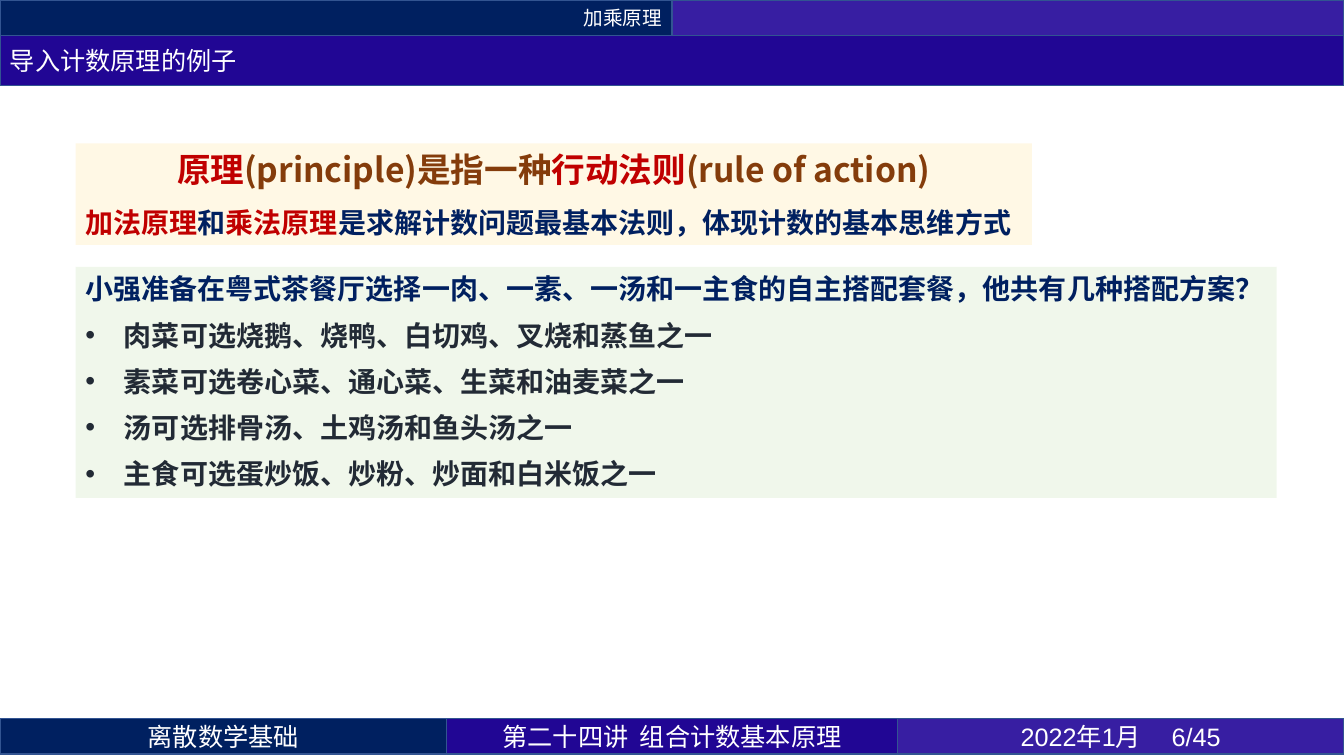
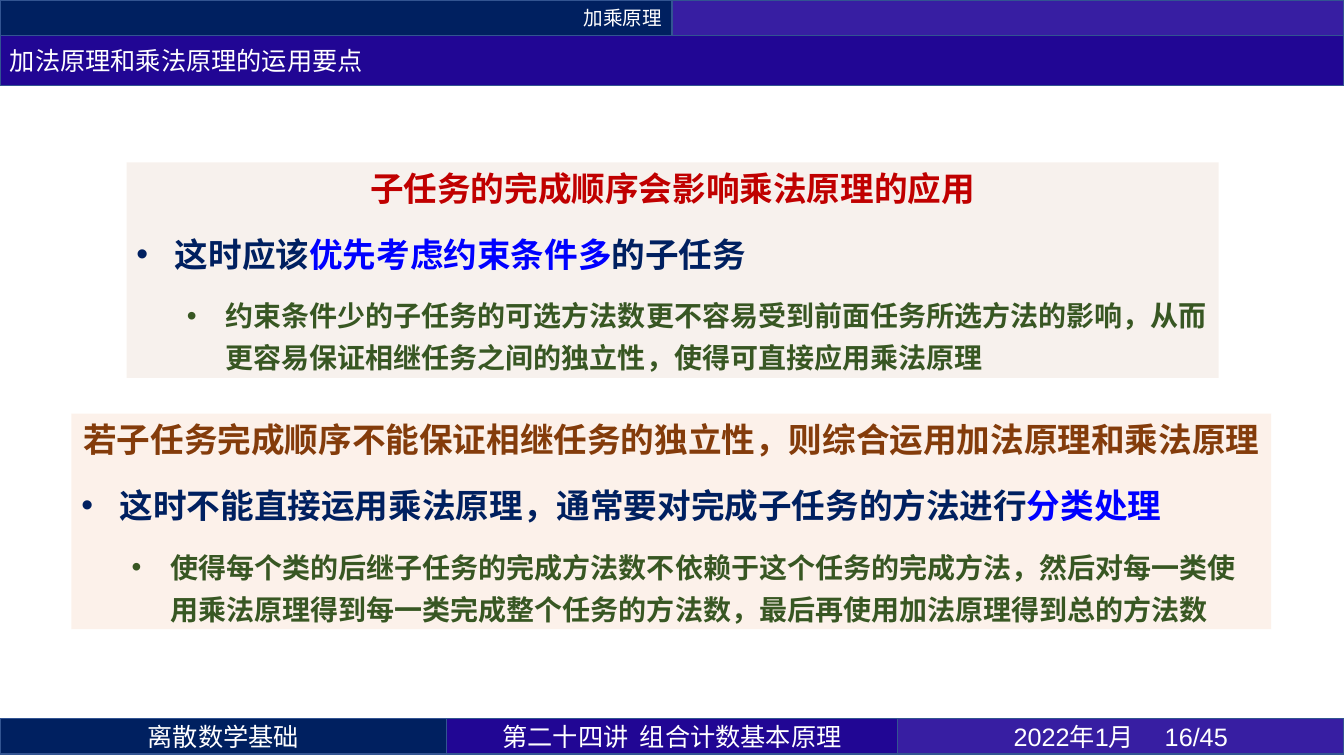
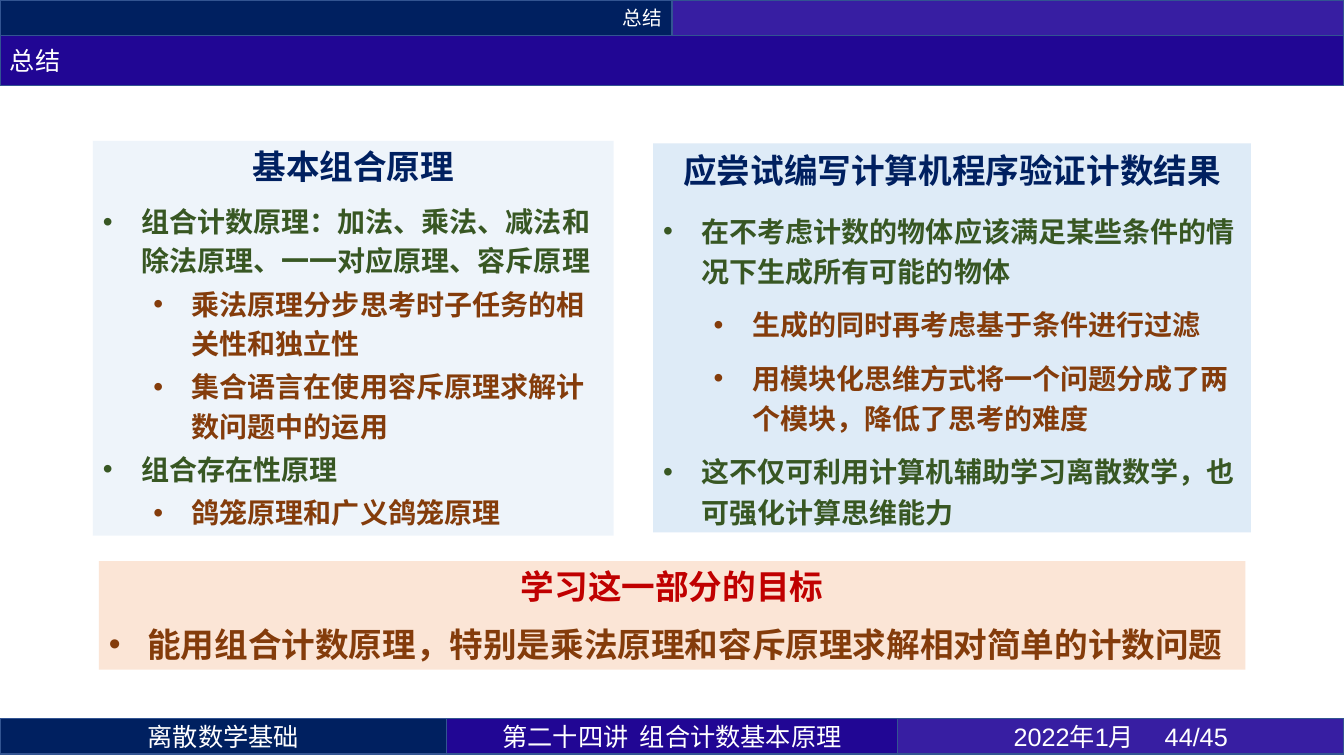
"""Build three lecture slides on basic counting principles."""
from dataclasses import dataclass

from lxml.etree import SubElement
from pptx import Presentation
from pptx.dml.color import RGBColor
from pptx.enum.shapes import MSO_SHAPE
from pptx.enum.text import MSO_ANCHOR, PP_ALIGN
from pptx.oxml.ns import qn
from pptx.util import Pt


@dataclass(frozen=True)
class Theme:
    font: str = "Noto Sans CJK SC"
    latin: str = "Arial"
    white: str = "FFFFFF"
    navy: str = "002060"
    indigo: str = "210694"
    violet: str = "371EA2"
    edge: str = "325491"
    red: str = "C00000"
    brown: str = "843C0B"
    blue: str = "0000FF"
    green: str = "385723"
    slate: str = "222A35"
    cream: str = "FFF2CC"
    mint: str = "E2F0D9"
    sand: str = "F0E5DC"
    peach: str = "FBE5D6"
    sky: str = "DEEBF7"
    small: int = 14
    band: int = 18
    body: int = 20
    head: int = 24


T = Theme()
WIDTH, HEIGHT = 960, 540
BAR = 25.2
TITLE_H = 36
FOOT_Y = 513.4
FOOT_X = (0, 319, 641, WIDTH)
HANG, STEP = 27.5, 36
LEADING = {T.head: 29, T.body: 24}


def para(*runs, size=T.body, bullet=None, center=False, before=0, after=0, leading=None):
    """Describe a paragraph; each run is (text, colour) or (text, colour, font)."""
    fmt = {
        "alignment": PP_ALIGN.CENTER if center else PP_ALIGN.LEFT,
        "level": bullet or 0,
        "line_spacing": Pt(leading or LEADING[size]),
        "space_before": Pt(before),
        "space_after": Pt(after),
    }
    return runs, size, bullet, fmt


class Deck:
    """Hold the presentation, its theme and the current slide."""

    def __init__(self, theme):
        self.t = theme
        self.prs = Presentation()
        self.prs.slide_width, self.prs.slide_height = Pt(WIDTH), Pt(HEIGHT)
        self.s = None

    def rect(self, x, y, w, h, fill, line=None, alpha=None):
        """Add a flat rectangle."""
        sp = self.s.shapes.add_shape(MSO_SHAPE.RECTANGLE, Pt(x), Pt(y), Pt(w), Pt(h))
        sp.shadow.inherit = False
        sp.fill.solid()
        sp.fill.fore_color.rgb = RGBColor.from_string(fill)
        if alpha:
            clr = sp.fill._xPr.find(qn("a:solidFill"))[0]
            SubElement(clr, qn("a:alpha"), val=str(alpha * 1000))
        if line:
            sp.line.color.rgb = RGBColor.from_string(line)
            sp.line.width = Pt(1)
        else:
            sp.line.fill.background()
        sp.text_frame.word_wrap = True
        return sp

    def run(self, p, text, color, size, font=None, bold=False):
        """Add a run with Latin and East Asian fonts."""
        r = p.add_run()
        r.text = text
        fmt = {"name": font or self.t.font, "size": Pt(size), "bold": bold}
        for key, value in fmt.items():
            setattr(r.font, key, value)
        r.font.color.rgb = RGBColor.from_string(color)
        SubElement(r._r.get_or_add_rPr(), qn("a:ea"), typeface=self.t.font)

    def band(self, x, y, w, h, fill, text="", align=PP_ALIGN.CENTER, size=T.band, font=None):
        """Add an outlined band with one line of white text."""
        sp = self.rect(x, y, w, h, fill, line=self.t.edge)
        tf = sp.text_frame
        tf.vertical_anchor = MSO_ANCHOR.MIDDLE
        p = tf.paragraphs[0]
        p.alignment = align
        if text:
            self.run(p, text, self.t.white, size, font)

    def slide(self, section, title, number):
        """Start a slide with its header and footer bands."""
        t = self.t
        self.s = self.prs.slides.add_slide(self.prs.slide_layouts[6])
        half = WIDTH / 2
        self.band(0, 0, half, BAR, t.navy, section, PP_ALIGN.RIGHT, t.small)
        self.band(half, 0, half, BAR, t.violet)
        footer = (
            (t.navy, "离散数学基础", t.font),
            (t.indigo, "第二十四讲  组合计数基本原理", t.font),
            (t.violet, f"2022年1月 \t{number}/45", t.latin),
        )
        for x, end, (fill, text, font) in zip(FOOT_X, FOOT_X[1:], footer):
            self.band(x, FOOT_Y, end - x, BAR, fill, text, font=font)
        self.band(0, BAR, WIDTH, TITLE_H, t.indigo, title, PP_ALIGN.LEFT)

    def bullet(self, p, level):
        """Give a paragraph a hanging bullet."""
        pPr = p._p.get_or_add_pPr()
        pPr.set("marL", str(Pt(HANG + STEP * level)))
        pPr.set("indent", str(-Pt(HANG)))
        SubElement(pPr, qn("a:buFont"), typeface=self.t.latin)
        SubElement(pPr, qn("a:buChar"), char="•")

    def panel(self, x, y, w, h, fill, paras, alpha=None):
        """Add a tinted panel of bold paragraphs."""
        tf = self.rect(x, y, w, h, fill, alpha=alpha).text_frame
        tf.vertical_anchor = MSO_ANCHOR.TOP
        for i, (runs, size, bullet, fmt) in enumerate(paras):
            p = tf.add_paragraph() if i else tf.paragraphs[0]
            if bullet is not None:
                self.bullet(p, bullet)
            for key, value in fmt.items():
                setattr(p, key, value)
            for text, color, *font in runs:
                self.run(p, text, color, size, *font, bold=True)


def intro(d):
    """Build the introductory example."""
    d.slide("加乘原理", "导入计数原理的例子", 6)
    d.panel(54, 102.4, 683, 72.6, T.cream, [
        para(("原理", T.red), ("(principle)是指一种", T.brown), ("行动法则", T.red),
             ("(rule of action)", T.brown), size=T.head, center=True, after=6),
        para(("加法原理", T.red, T.latin), ("和", T.navy), ("乘法原理", T.red, T.latin),
             ("是求解计数问题最基本法则，体现计数的基本思维方式", T.navy), before=6, after=6),
    ], alpha=50)
    dishes = (
        "肉菜可选烧鹅、烧鸭、白切鸡、叉烧和蒸鱼之一",
        "素菜可选卷心菜、通心菜、生菜和油麦菜之一",
        "汤可选排骨汤、土鸡汤和鱼头汤之一",
        "主食可选蛋炒饭、炒粉、炒面和白米饭之一",
    )
    question = "小强准备在粤式茶餐厅选择一肉、一素、一汤和一主食的自主搭配套餐，他共有几种搭配方案？"
    d.panel(54, 190.6, 858, 165, T.mint, [
        para((question, T.navy), after=3),
        *(para((dish, T.slate), bullet=0, before=6, after=3) for dish in dishes),
    ], alpha=50)


def key_points(d):
    """Build the two panels on applying the principles."""
    d.slide("加乘原理", "加法原理和乘法原理的运用要点", 16)
    panels = (
        ((90.4, 116, 780, 154), T.sand, ("子任务的完成顺序会影响乘法原理的应用", T.red),
         (("这时应该", T.navy), ("优先考虑约束条件多", T.blue), ("的子任务", T.navy)),
         "约束条件少的子任务的可选方法数更不容易受到前面任务所选方法的影响，"
         "从而更容易保证相继任务之间的独立性，使得可直接应用乘法原理"),
        ((51, 295.4, 857, 154), T.peach,
         ("若子任务完成顺序不能保证相继任务的独立性，则综合运用加法原理和乘法原理", T.brown),
         (("这时不能直接运用乘法原理，通常要对完成子任务的方法进行", T.navy), ("分类处理", T.blue)),
         "使得每个类的后继子任务的完成方法数不依赖于这个任务的完成方法，"
         "然后对每一类使用乘法原理得到每一类完成整个任务的方法数，最后再使用加法原理得到总的方法数"),
    )
    for box, fill, heading, advice, detail in panels:
        d.panel(*box, fill, [
            para(heading, size=T.head, center=True, after=12),
            para(*advice, size=T.head, bullet=0, before=6, after=6),
            para((detail, T.green), bullet=1, before=6, after=6, leading=30),
        ], alpha=50)


def outline(items, **fmt):
    """Turn (level, text) pairs into two-level bullets."""
    looks = ((T.green, T.font), (T.brown, T.latin))
    return [para((text, *looks[level]), bullet=level, before=3, **fmt) for level, text in items]


def summary(d):
    """Build the summary slide."""
    d.slide("总结", "总结", 44)
    principles = (
        (0, "组合计数原理：加法、乘法、减法和除法原理、一一对应原理、容斥原理"),
        (1, "乘法原理分步思考时子任务的相关性和独立性"),
        (1, "集合语言在使用容斥原理求解计数问题中的运用"),
        (0, "组合存在性原理"),
        (1, "鸽笼原理和广义鸽笼原理"),
    )
    d.panel(66.4, 100.6, 372, 282, T.sky, [
        para(("基本组合原理", T.navy), size=T.head, center=True, after=6),
        *outline(principles, leading=28),
    ], alpha=50)
    programming = (
        (0, "在不考虑计数的物体应该满足某些条件的情况下生成所有可能的物体"),
        (1, "生成的同时再考虑基于条件进行过滤"),
        (1, "用模块化思维方式将一个问题分成了两个模块，降低了思考的难度"),
        (0, "这不仅可利用计算机辅助学习离散数学，也可强化计算思维能力"),
    )
    d.panel(466.6, 102.4, 427, 278, T.sky, [
        para(("应尝试编写计算机程序验证计数结果", T.navy),
             size=T.head, center=True, after=9, leading=30),
        *outline(programming, after=6, leading=29),
    ])
    goal = "能用组合计数原理，特别是乘法原理和容斥原理求解相对简单的计数问题"
    d.panel(70.6, 400.8, 819, 77.6, T.peach, [
        para(("学习这一部分的目标", T.red), size=T.head, center=True, after=6),
        para((goal, T.brown), size=T.head, bullet=0, before=6, after=6),
    ])


def main():
    """Build and save the deck."""
    d = Deck(T)
    for build in (intro, key_points, summary):
        build(d)
    d.prs.save("out.pptx")


if __name__ == "__main__":
    main()
